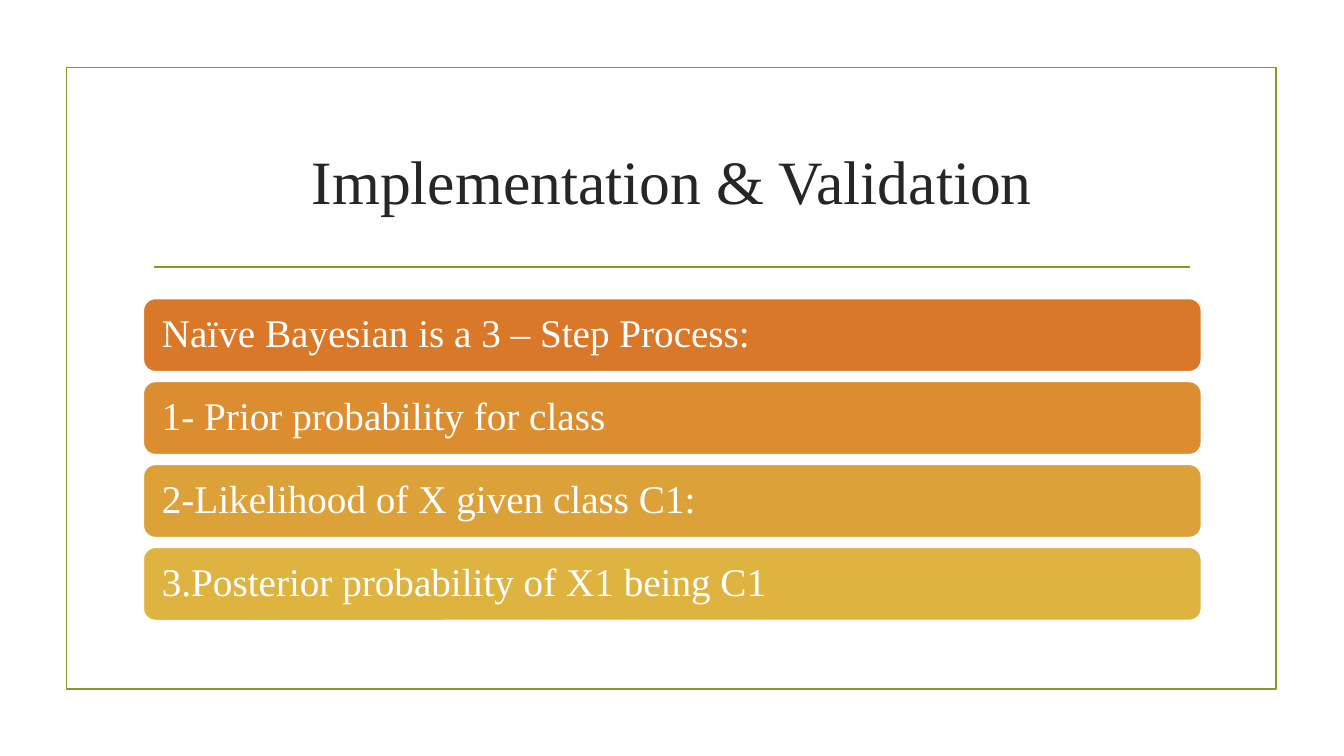
from dataclasses import dataclass

from lxml.etree import SubElement
from pptx import Presentation
from pptx.dml.color import RGBColor
from pptx.enum.shapes import MSO_CONNECTOR, MSO_SHAPE
from pptx.enum.text import MSO_ANCHOR, MSO_AUTO_SIZE, PP_ALIGN
from pptx.oxml.ns import qn
from pptx.util import Cm, Pt

GREEN = "83992A"
WHITE = "FFFFFF"
LEFT, WIDTH = 3.61, 26.67
TOP, HIGH, PITCH = 7.52, 1.85, 2.09


@dataclass
class Step:
    text: str
    fill: str


STEPS = [
    Step("Naïve Bayesian is a 3 – Step Process:", "D97828"),
    Step("1- Prior probability for class", "DB8D30"),
    Step("2-Likelihood of X given class C1:", "DCA138"),
    Step("3.Posterior probability of X1 being C1", "DEB340"),
]


def paint(target, color: str) -> None:
    """Give a fill, line fill or font a solid colour."""
    if hasattr(target, "solid"):
        target.solid()
        target = target.fore_color
    else:
        target = target.color
    target.rgb = RGBColor.from_string(color)


def write(shape, text: str, *, size: float, color: str, align=PP_ALIGN.LEFT,
          inset: float = 0.25, space: float = 1.0) -> None:
    frame = shape.text_frame
    frame.word_wrap = True
    frame.auto_size = MSO_AUTO_SIZE.NONE
    frame.vertical_anchor = MSO_ANCHOR.MIDDLE
    frame.margin_left = frame.margin_right = Cm(inset)
    frame.margin_top = frame.margin_bottom = Cm(0.13)
    para = frame.paragraphs[0]
    para.alignment = align
    para.line_spacing = space
    run = para.add_run()
    run.text = text
    run.font.name = "Times New Roman"
    run.font.size = Pt(size)
    paint(run.font, color)


def add_box(slide, kind, left: float, top: float, width: float, high: float,
            line: str, fill: str = ""):
    box = slide.shapes.add_shape(kind, Cm(left), Cm(top), Cm(width), Cm(high))
    box.shadow.inherit = False
    if fill:
        paint(box.fill, fill)
    else:
        box.fill.background()
    paint(box.line, line)
    box.line.width = Pt(1.25)
    return box


def add_rule(slide, left: float, right: float, top: float) -> None:
    rule = slide.shapes.add_connector(
        MSO_CONNECTOR.STRAIGHT, Cm(left), Cm(top), Cm(right), Cm(top))
    paint(rule.line, GREEN)
    rule.line.width = Pt(1.25)
    SubElement(rule.element.spPr, qn("a:effectLst"))


def add_step(slide, step: Step, top: float) -> None:
    bar = add_box(slide, MSO_SHAPE.ROUNDED_RECTANGLE, LEFT, top, WIDTH, HIGH,
                  WHITE, step.fill)
    write(bar, step.text, size=28, color=WHITE, inset=0.38, space=0.9)


def main() -> None:
    deck = Presentation()
    deck.slide_width, deck.slide_height = Cm(33.87), Cm(19.05)
    slide = deck.slides.add_slide(deck.slide_layouts[5])

    # Frame and rule
    add_box(slide, MSO_SHAPE.RECTANGLE, 1.68, 1.7, 30.48, 15.67, GREEN)
    add_rule(slide, 3.89, 30, 6.73)

    # Title
    title = slide.shapes.title
    title.left, title.top = Cm(LEFT), Cm(2.72)
    title.width, title.height = Cm(WIDTH), Cm(3.63)
    write(title, "Implementation & Validation", size=44, color="262626",
          align=PP_ALIGN.CENTER)

    # Stacked steps
    for row, step in enumerate(STEPS):
        add_step(slide, step, TOP + row * PITCH)

    deck.save("out.pptx")


if __name__ == "__main__":
    main()
